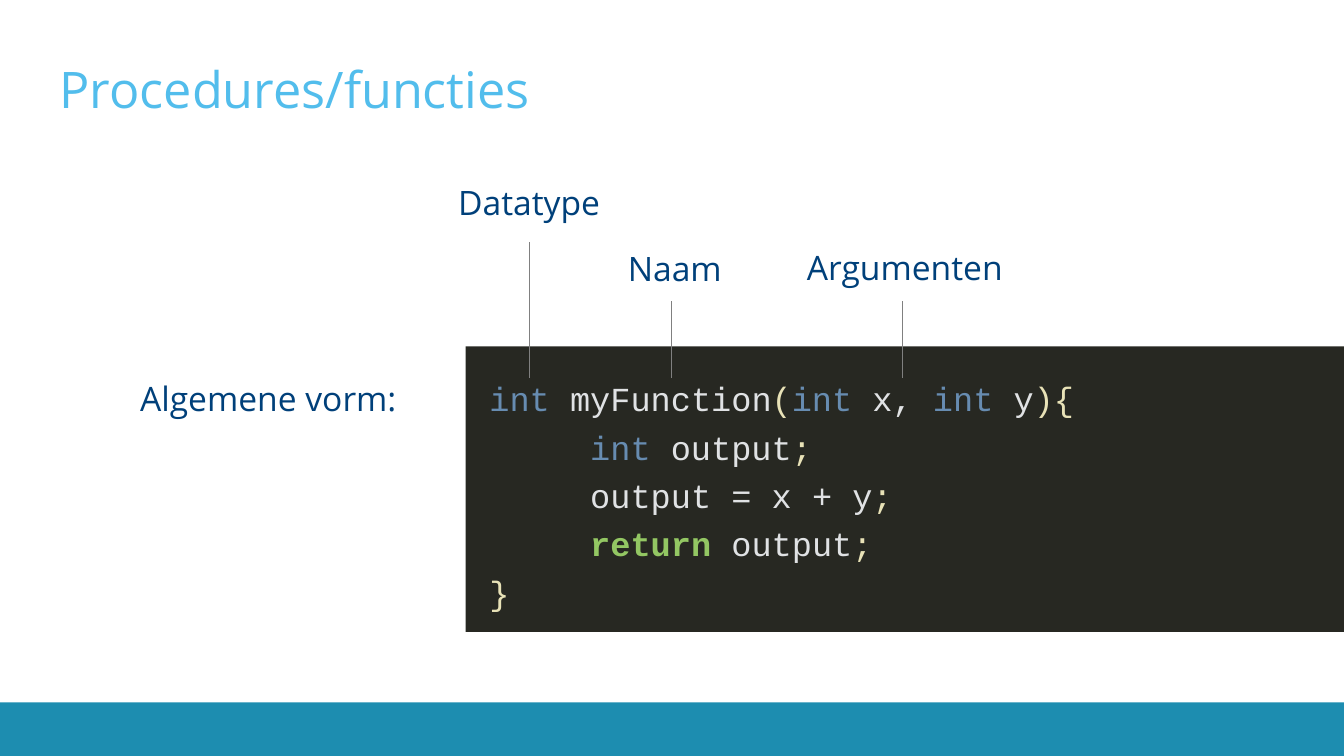
from dataclasses import dataclass

from lxml.etree import SubElement
from pptx import Presentation
from pptx.dml.color import RGBColor
from pptx.enum.shapes import MSO_CONNECTOR, MSO_SHAPE
from pptx.enum.text import MSO_ANCHOR, PP_ALIGN
from pptx.oxml.ns import qn
from pptx.util import Pt

NAVY, SKY = "00407A", "52BDEC"
BLUE, WHITE, SAND, GREEN = "678CB1", "E0E2E4", "E8E2B7", "93C763"
SANS, MONO = "Open Sans", "Courier New"
FRAME = {"word_wrap": True, "margin_left": 0, "margin_right": 0,
         "margin_top": 0, "margin_bottom": 0}


@dataclass
class Label:
    text: str
    left: float
    top: float
    line: float  # x of the pointer
    start: float  # y where the pointer begins


LABELS = [
    Label("Datatype", 290.8, 129.7, 378, 172.8),
    Label("Naam", 394.9, 177, 479.8, 215.3),
    Label("Argumenten", 559.2, 176.4, 644.7, 215.3),
]
CODE = [
    [("int ", BLUE), ("myFunction", WHITE), ("(", SAND), ("int ", BLUE),
     ("x, ", WHITE), ("int ", BLUE), ("y", WHITE), ("){", SAND)],
    [("\t", WHITE), ("int ", BLUE), ("output", WHITE), (";", SAND)],
    [("\toutput = x + y", WHITE), (";", SAND)],
    [("\t", WHITE), ("return ", GREEN), ("output", WHITE), (";", SAND)],
    [("}", SAND)],
]


def color(code: str) -> RGBColor:
    return RGBColor.from_string(code)


def apply(item, **values) -> None:
    for key, value in values.items():
        setattr(item, key, value)


def write(para, text: str, code: str, name: str = SANS, size: int = 24,
          bold: bool = False) -> None:
    run = para.add_run()
    run.text = text
    apply(run.font, name=name, size=Pt(size), bold=bold)
    run.font.color.rgb = color(code)


def frame(slide, left: float, top: float, width: float, height: float):
    box = slide.shapes.add_textbox(Pt(left), Pt(top), Pt(width), Pt(height))
    apply(box.text_frame, **FRAME)
    return box.text_frame


def block(slide, left: float, top: float, width: float, height: float,
          fill: str) -> None:
    rect = slide.shapes.add_shape(MSO_SHAPE.RECTANGLE, Pt(left), Pt(top),
                                  Pt(width), Pt(height))
    rect.shadow.inherit = False
    rect.fill.solid()
    rect.fill.fore_color.rgb = color(fill)
    rect.line.fill.background()


def point(slide, label: Label) -> None:
    line = slide.shapes.add_connector(MSO_CONNECTOR.STRAIGHT, Pt(label.line),
                                      Pt(270), Pt(label.line), Pt(label.start))
    line.line.color.rgb = color("808080")
    line.line.width = Pt(0.75)
    SubElement(line._element.spPr, qn("a:effectLst"))


def indent(para, pos: float) -> None:
    tabs = SubElement(para._p.get_or_add_pPr(), qn("a:tabLst"))
    SubElement(tabs, qn("a:tab"), pos=str(Pt(pos)), algn="l")


def main() -> None:
    deck = Presentation()
    apply(deck, slide_width=Pt(960), slide_height=Pt(540))
    slide = deck.slides.add_slide(deck.slide_layouts[5])

    # Footer band and title
    block(slide, 0, 501.8, 960, 38.2, "1D8DB0")
    title = slide.shapes.title
    apply(title, left=Pt(42.5), top=Pt(14.4), width=Pt(896.4), height=Pt(70.6))
    apply(title.text_frame, vertical_anchor=MSO_ANCHOR.BOTTOM, **FRAME)
    head = title.text_frame.paragraphs[0]
    head.alignment = PP_ALIGN.LEFT
    write(head, "Procedures/functies", SKY, size=36)

    # Code panel
    block(slide, 332.6, 247.5, 627.4, 203.9, "272822")
    text = frame(slide, 349.6, 270, 610.4, 175)
    for row, parts in enumerate(CODE):
        para = text.paragraphs[0] if row == 0 else text.add_paragraph()
        para.space_before = Pt(5.8 if row else 0)
        indent(para, 72)
        for part, code in parts:
            write(para, part, code, MONO, bold=code == GREEN)

    # Labels with pointers
    for label in LABELS:
        point(slide, label)
        para = frame(slide, label.left, label.top, 174.2, 32.4).paragraphs[0]
        para.alignment = PP_ALIGN.CENTER
        write(para, label.text, NAVY)

    # Side caption
    side = frame(slide, 100.1, 270, 190.8, 36)
    write(side.paragraphs[0], "Algemene vorm:", NAVY)

    deck.save("out.pptx")


if __name__ == "__main__":
    main()
